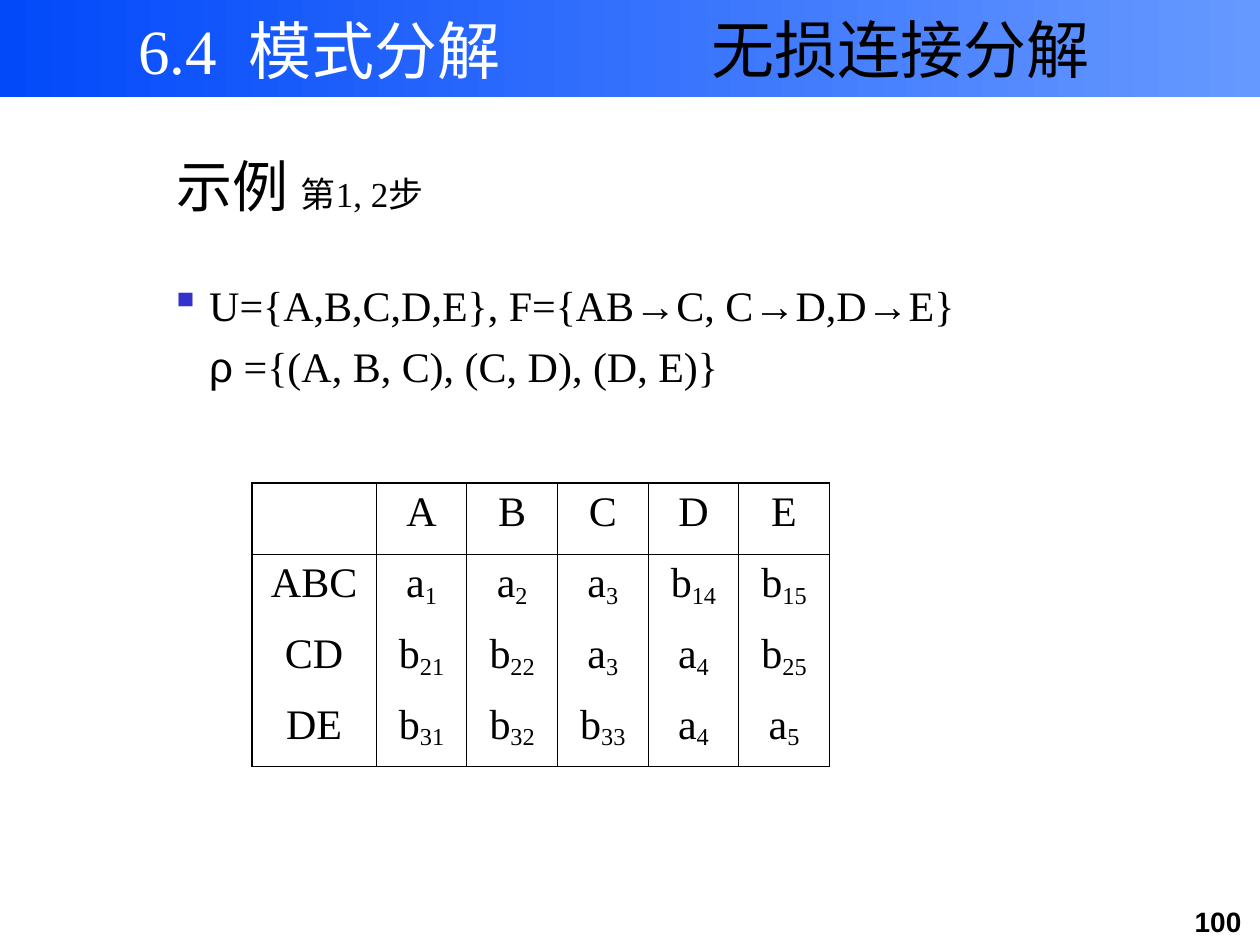
from dataclasses import dataclass

from lxml import etree
from pptx import Presentation
from pptx.dml.color import RGBColor
from pptx.enum.shapes import MSO_SHAPE
from pptx.enum.text import MSO_ANCHOR, PP_ALIGN
from pptx.oxml.ns import qn
from pptx.util import Pt

RECT = MSO_SHAPE.RECTANGLE
TOP, MIDDLE = MSO_ANCHOR.TOP, MSO_ANCHOR.MIDDLE
LEFT, CENTER = PP_ALIGN.LEFT, PP_ALIGN.CENTER


@dataclass(frozen=True)
class Theme:
    serif: str = "Times New Roman"
    sans: str = "Arial"
    black: str = "000000"
    white: str = "FFFFFF"
    bullet: str = "3333CC"
    band: tuple = ("0249FA", "6699FF")
    title: int = 36
    heading: int = 32
    body: int = 24
    small: int = 20
    page: int = 16
    thick: float = 1.08
    thin: float = 0.45


T = Theme()


def add_run(p, text, size, color=T.black, baseline=0, **fmt):
    r = p.add_run()
    r.text = text
    values = {"name": T.serif, "size": Pt(size), **fmt}
    for key, value in values.items():
        setattr(r.font, key, value)
    r.font.color.rgb = RGBColor.from_string(color)
    if baseline:
        r.font._element.set("baseline", str(baseline * 1000))


def add_text(s, box, anchor=TOP, align=LEFT):
    """Add an empty wrapped text box; return its first paragraph and frame."""
    tf = s.shapes.add_textbox(*map(Pt, box)).text_frame
    tf.word_wrap = True
    tf.vertical_anchor = anchor
    p = tf.paragraphs[0]
    p.alignment = align
    return p, tf


def set_indent(p, margin, indent, bullet=None):
    pPr = p._p.get_or_add_pPr()
    pPr.set("marL", str(Pt(margin)))
    pPr.set("indent", str(Pt(indent)))
    if bullet:
        clr = etree.SubElement(pPr, qn("a:buClr"))
        etree.SubElement(clr, qn("a:srgbClr"), val=T.bullet)
        etree.SubElement(pPr, qn("a:buChar"), char=bullet)


def set_borders(cell, widths):
    """Set left, right, top and bottom lines; a width of 0 hides the line."""
    tcPr = cell._tc.get_or_add_tcPr()
    for i, (side, width) in enumerate(zip("LRTB", widths)):
        ln = etree.Element(qn(f"a:ln{side}"), w=str(Pt(width)))
        if width:
            fill = etree.SubElement(ln, qn("a:solidFill"))
            etree.SubElement(fill, qn("a:srgbClr"), val=T.black)
        else:
            etree.SubElement(ln, qn("a:noFill"))
        tcPr.insert(i, ln)


def add_header(s, box):
    x, y, w, h = box
    # Gradient band
    sp = s.shapes.add_shape(RECT, *map(Pt, box))
    sp.shadow.inherit = False
    sp.line.fill.background()
    sp.fill.gradient()
    sp.fill.gradient_angle = 0
    for stop, color in zip(sp.fill.gradient_stops, T.band):
        stop.color.rgb = RGBColor.from_string(color)
    # Topic on the right, chapter on the left
    p, _ = add_text(s, (x + 309, y, w - 309, h), MIDDLE, CENTER)
    add_run(p, "无损连接分解", T.title)
    p, _ = add_text(s, (x + 72, y + 7, 402, 42), MIDDLE)
    add_run(p, "6.4  模式分解", T.title, T.white)


def add_heading(s, box):
    p, _ = add_text(s, box, MIDDLE)
    add_run(p, "示例 ", T.heading)
    add_run(p, "第1, 2步", T.small)


def add_definitions(s, box):
    p, tf = add_text(s, box)
    lines = ["U={A,B,C,D,E}, F={AB→C, C→D,D→E}", "ρ ={(A, B, C), (C, D), (D, E)}"]
    for i, (line, bullet) in enumerate(zip(lines, ("▪", None))):
        if i:
            p = tf.add_paragraph()
            p.space_before = Pt(6)
        set_indent(p, 58.5, -22.5 if bullet else 0, bullet)
        # Symbols take the sans font
        for symbol in "→ρ":
            line = line.replace(symbol, f"|{symbol}|")
        for part in filter(None, line.split("|")):
            add_run(p, part, T.body, name=T.sans if part in "→ρ" else T.serif)


def add_tableau(s, box):
    rows = [
        ["", "A", "B", "C", "D", "E"],
        ["ABC", "a_1", "a_2", "a_3", "b_14", "b_15"],
        ["CD", "b_21", "b_22", "a_3", "a_4", "b_25"],
        ["DE", "b_31", "b_32", "b_33", "a_4", "a_5"],
    ]
    n_rows, n_cols = len(rows), len(rows[0])
    label_w = 71
    table = s.shapes.add_table(n_rows, n_cols, *map(Pt, box)).table
    for j, col in enumerate(table.columns):
        col.width = Pt((box[2] - label_w) / (n_cols - 1) if j else label_w)
    for i, row in enumerate(rows):
        table.rows[i].height = Pt(box[3] / n_rows)
        for j, text in enumerate(row):
            cell = table.cell(i, j)
            cell.fill.background()
            # Thick frame, thin column lines, one thin line under the header
            set_borders(cell, (
                T.thin if j else T.thick,
                T.thin if j < n_cols - 1 else T.thick,
                {0: T.thick, 1: T.thin}.get(i, 0),
                {0: T.thin, n_rows - 1: T.thick}.get(i, 0),
            ))
            if not text:
                continue
            p = cell.text_frame.paragraphs[0]
            p.alignment = CENTER
            base, _, sub = text.partition("_")
            add_run(p, base, T.body)
            if sub:
                add_run(p, sub, T.body, baseline=-16)


def add_page_number(s, box):
    p, _ = add_text(s, box, align=CENTER)
    add_run(p, "100", T.page, name=T.sans, bold=True)


def main():
    prs = Presentation()
    prs.slide_width, prs.slide_height = Pt(720), Pt(540)
    s = prs.slides.add_slide(prs.slide_layouts[6])
    add_header(s, (0, 0, 720, 55.5))
    add_page_number(s, (672, 513.5, 48, 26.5))
    add_heading(s, (93.6, 83, 266, 46))
    add_definitions(s, (54, 156, 612, 102))
    add_tableau(s, (144, 276, 330, 162))
    prs.save("out.pptx")


if __name__ == "__main__":
    main()
